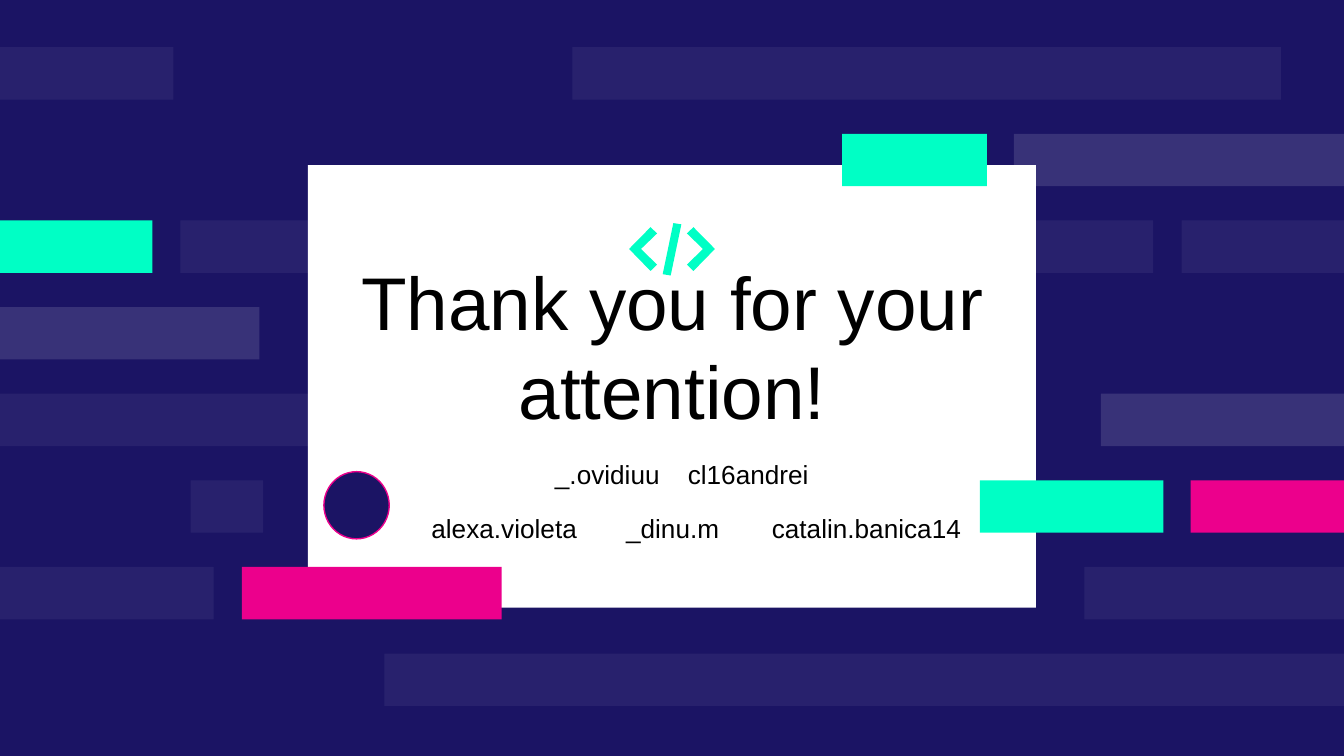
from dataclasses import dataclass
from lxml.etree import SubElement
from pptx import Presentation
from pptx.dml.color import RGBColor as RGB
from pptx.enum.shapes import MSO_SHAPE as Shape
from pptx.enum.text import MSO_ANCHOR as Anchor, PP_ALIGN as Align
from pptx.oxml.ns import qn
from pptx.util import Pt


@dataclass(frozen=True)
class Theme:
    navy: RGB = RGB(0x1B, 0x14, 0x64)
    mint: RGB = RGB(0x00, 0xFF, 0xC5)
    pink: RGB = RGB(0xEC, 0x00, 0x8C)
    white: RGB = RGB(0xFF, 0xFF, 0xFF)
    black: RGB = RGB(0, 0, 0)
    font: str = "Arial"
    title: int = 40
    body: int = 14
    faint: int = 6
    pale: int = 13


T = Theme()
WIDTH, HEIGHT = 720, 405
ROW_TOP, ROW_STEP, BAR_HEIGHT = 25.3, 46.4, 28.1

BACK_BARS = [
    (0, 0, 92.9, T.white, T.faint),
    (0, 306.7, 686.2, T.white, T.faint),
    (1, 543.1, WIDTH, T.white, T.pale),
    (2, 0, 81.6, T.mint, None),
    (2, 96.7, 183.6, T.white, T.faint),
    (2, 431.3, 617.8, T.white, T.faint),
    (2, 633.1, WIDTH, T.white, T.faint),
    (3, 0, 139, T.white, T.pale),
    (4, 0, 177.1, T.white, T.faint),
    (4, 589.7, WIDTH, T.white, T.pale),
    (5, 102.2, 141.1, T.white, T.faint),
    (5, 637.9, WIDTH, T.pink, None),
    (6, 0, 114.5, T.white, T.faint),
    (6, 581, WIDTH, T.white, T.faint),
    (7, 205.9, WIDTH, T.white, T.faint),
]
FRONT_BARS = [
    (6, 129.6, 268.8, T.pink, None),
    (5, 524.9, 623.3, T.mint, None),
    (1, 451.2, 528.7, T.mint, None),
]
LEFT_BRACKET = [(348.5, 121.7), (337, 133.4), (348.5, 145.2),
                (352, 141.8), (343.4, 133.4), (352, 125.1)]
RIGHT_BRACKET = [(WIDTH - x, y) for x, y in LEFT_BRACKET]
SLASH = [(360.7, 119.5), (355, 146.9), (359.3, 147.6), (365, 120.2)]

HANDLES_TOP, HANDLES_STEP = 241.9, 28.8
LEADING_HANDLES = [("_.ovidiuu", 66.2), ("alexa.violeta", 0)]
FOLLOWING_HANDLES = [
    ("cl16andrei", 0, 361.4, 80),
    ("_dinu.m", 1, 328.3, 77.8),
    ("catalin.banica14", 1, 406.4, 122),
]


def paint(sp, color, opacity=None):
    sp.shadow.inherit = False
    sp.fill.solid()
    sp.fill.fore_color.rgb = color
    sp.line.fill.background()
    if opacity is not None:
        clr = sp.fill._xPr.find(qn("a:solidFill"))[0]
        SubElement(clr, qn("a:alpha"), val=str(opacity * 1000))


def add_block(slide, kind, left, top, width, height, color, opacity=None):
    sp = slide.shapes.add_shape(kind, Pt(left), Pt(top), Pt(width), Pt(height))
    paint(sp, color, opacity)
    return sp


def add_bars(slide, bars):
    for row, left, right, color, opacity in bars:
        add_block(slide, Shape.RECTANGLE, left, ROW_TOP + row * ROW_STEP,
                  right - left, BAR_HEIGHT, color, opacity)


def add_code_icon(slide):
    for outline in (LEFT_BRACKET, RIGHT_BRACKET, SLASH):
        start, *rest = [(Pt(x), Pt(y)) for x, y in outline]
        builder = slide.shapes.build_freeform(*start)
        builder.add_line_segments(rest, close=True)
        paint(builder.convert_to_shape(), T.mint)


def place(sp, left, top, width, height):
    sp.left, sp.top, sp.width, sp.height = (
        Pt(v) for v in (left, top, width, height))
    sp.element.getparent().append(sp.element)


def write(sp, lines, size, align=Align.LEFT, anchor=Anchor.TOP, before=0):
    tf = sp.text_frame
    tf.word_wrap = True
    tf.vertical_anchor = anchor
    for i, line in enumerate(lines):
        p = tf.add_paragraph() if i else tf.paragraphs[0]
        p.alignment = align
        p.line_spacing = 1.0
        p.space_before = Pt(before if i else 0)
        r = p.add_run()
        r.text = line
        r.font.name = T.font
        r.font.size = Pt(size)
        r.font.color.rgb = T.black


def set_indent(p, indent):
    pPr = p._p.get_or_add_pPr()
    pPr.set("marL", str(int(Pt(indent))))
    pPr.set("indent", "0")
    SubElement(pPr, qn("a:buNone"))


def add_handles(slide):
    body = slide.placeholders[1]
    place(body, 223.9, HANDLES_TOP, 137.5, 70.6)
    write(body, [name for name, _ in LEADING_HANDLES], T.body, before=12)
    for p, (_, indent) in zip(body.text_frame.paragraphs, LEADING_HANDLES):
        set_indent(p, indent)
    for name, row, left, width in FOLLOWING_HANDLES:
        top = HANDLES_TOP + row * HANDLES_STEP
        box = slide.shapes.add_textbox(Pt(left), Pt(top), Pt(width), Pt(24.5))
        write(box, [name], T.body)


def main():
    prs = Presentation()
    prs.slide_width, prs.slide_height = Pt(WIDTH), Pt(HEIGHT)
    slide = prs.slides.add_slide(prs.slide_layouts[1])
    slide.background.fill.solid()
    slide.background.fill.fore_color.rgb = T.navy

    add_bars(slide, BACK_BARS)
    add_block(slide, Shape.RECTANGLE, 165, 88.5, 390, 237, T.white)
    add_code_icon(slide)
    add_bars(slide, FRONT_BARS)

    title = slide.shapes.title
    place(title, 120.6, 132.2, 478.8, 104.4)
    write(title, ["Thank you for your attention!"], T.title,
          Align.CENTER, Anchor.BOTTOM)

    badge = add_block(slide, Shape.OVAL, 173.5, 252.7, 35, 36, T.navy)
    badge.line.color.rgb = T.pink
    badge.line.width = Pt(0.75)
    add_handles(slide)
    prs.save("out.pptx")


if __name__ == "__main__":
    main()
